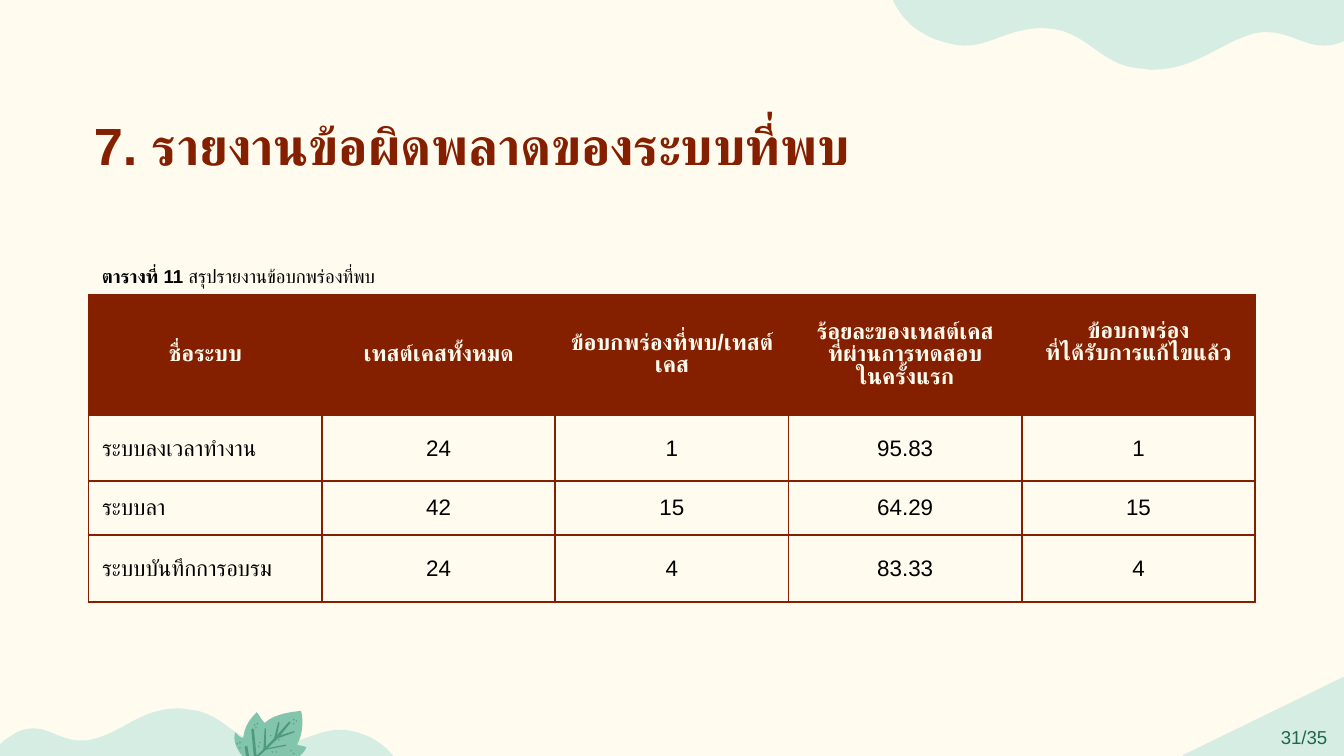
from dataclasses import dataclass

from lxml.etree import SubElement
from pptx import Presentation
from pptx.dml.color import RGBColor
from pptx.enum.shapes import MSO_SHAPE
from pptx.enum.text import MSO_ANCHOR, PP_ALIGN
from pptx.oxml.ns import qn
from pptx.util import Inches, Pt

CREAM = RGBColor(0xFF, 0xFB, 0xEE)
MINT = RGBColor(0xD6, 0xED, 0xE4)
LEAF_GREEN = RGBColor(0x83, 0xC4, 0xAD)
VEIN_GREEN = RGBColor(0x4F, 0x99, 0x7C)
DARK_GREEN = RGBColor(0x1F, 0x68, 0x4C)
BROWN = RGBColor(0x84, 0x1F, 0x00)
BLACK = RGBColor(0, 0, 0)
FONT = "Arial"
CURVE_STEPS = 12


@dataclass
class Outline:
    """A closed outline; segments hold 2 numbers (line) or 6 (Bézier curve)."""
    color: RGBColor
    start: tuple[float, float]
    segments: list[tuple[float, ...]]


@dataclass
class TextStyle:
    size: int
    color: RGBColor
    bold: bool = False


TOP_WAVE = Outline(MINT, (8.57, 0.52), [
    (8.9, 0.52, 9.07, 0.32, 9.33, 0.25), (9.37, 0.24, 9.4, 0.24, 9.43, 0.24),
    (9.59, 0.24, 9.7, 0.34, 9.85, 0.34), (9.9, 0.34, 9.96, 0.33, 10.03, 0.29),
    (10.2, 0.2, 10.21, 0.08, 10.21, -0.04), (6.63, -0.03),
    (6.68, 0.09, 6.76, 0.21, 6.95, 0.29), (7.04, 0.32, 7.11, 0.34, 7.18, 0.34),
    (7.37, 0.34, 7.49, 0.22, 7.73, 0.21), (7.74, 0.21, 7.75, 0.21, 7.76, 0.21),
    (8.08, 0.21, 8.17, 0.48, 8.47, 0.51), (8.51, 0.51, 8.54, 0.52, 8.57, 0.52)])
BOTTOM_WAVE = Outline(MINT, (-0.07, 5.75), [
    (2.99, 5.74), (2.95, 5.64, 2.88, 5.54, 2.72, 5.47),
    (2.64, 5.44, 2.58, 5.43, 2.53, 5.43), (2.36, 5.43, 2.26, 5.53, 2.05, 5.54),
    (2.05, 5.54, 2.04, 5.54, 2.03, 5.54), (1.75, 5.54, 1.68, 5.31, 1.42, 5.28),
    (1.39, 5.28, 1.36, 5.27, 1.33, 5.27), (1.05, 5.27, 0.91, 5.45, 0.69, 5.5),
    (0.66, 5.51, 0.63, 5.51, 0.6, 5.51), (0.46, 5.51, 0.37, 5.42, 0.25, 5.42),
    (0.2, 5.42, 0.15, 5.43, 0.09, 5.47), (-0.05, 5.55, -0.07, 5.65, -0.07, 5.75)])
LEAF = Outline(LEAF_GREEN, (2.24, 5.29), [
    (2.14, 5.3, 2.03, 5.32, 1.97, 5.38), (1.94, 5.35, 1.93, 5.32, 1.91, 5.3),
    (1.85, 5.36, 1.82, 5.41, 1.81, 5.49), (1.79, 5.49, 1.78, 5.48, 1.75, 5.45),
    (1.73, 5.51, 1.76, 5.61, 1.87, 5.68), (1.9, 5.72, 1.98, 5.75, 2.04, 5.75),
    (2.07, 5.75, 2.1, 5.75, 2.12, 5.74), (2.1, 5.72, 2.07, 5.7, 2.05, 5.69),
    (2.15, 5.67, 2.25, 5.64, 2.28, 5.56), (2.26, 5.55, 2.23, 5.55, 2.21, 5.54),
    (2.25, 5.47, 2.26, 5.37, 2.24, 5.29)])
VEINS = [Outline(VEIN_GREEN, start, segments) for start, *segments in (
    ((2.16, 5.37), (2.15, 5.37), (2.05, 5.48, 1.95, 5.61, 1.81, 5.69), (1.68, 5.74),
     (1.68, 5.75), (1.85, 5.72, 1.97, 5.59, 2.08, 5.48), (2.16, 5.38)),
    ((2.07, 5.37), (2.04, 5.49), (2.05, 5.5), (2.19, 5.45), (2.19, 5.44), (2.06, 5.48),
     (2.08, 5.38)),
    ((1.97, 5.42), (1.96, 5.58), (1.97, 5.58), (2.13, 5.55), (2.13, 5.54), (1.98, 5.57),
     (1.98, 5.42)),
    ((1.88, 5.42), (1.87, 5.43), (1.89, 5.64), (1.9, 5.65), (2, 5.64), (2.13, 5.65),
     (2.13, 5.63), (1.91, 5.63), (1.89, 5.43)),
    ((1.83, 5.55), (1.82, 5.56), (1.84, 5.68), (1.85, 5.69), (2, 5.71), (2.01, 5.7),
     (1.86, 5.67), (1.84, 5.55)))]
SPECKLES = [
    (2.16, 5.58), (2.18, 5.6), (1.89, 5.39), (1.91, 5.38), (1.9, 5.41), (2.18, 5.35),
    (2.18, 5.38), (2.2, 5.36), (1.93, 5.52), (1.92, 5.55), (2.02, 5.59), (2.05, 5.59),
    (2.07, 5.5), (2.01, 5.47), (1.76, 5.53), (1.78, 5.52), (1.78, 5.56)]

ROWS = [
    ("ชื่อระบบ", "เทสต์เคสทั้งหมด", "ข้อบกพร่องที่พบ/เทสต์เคส",
     "ร้อยละของเทสต์เคส\nที่ผ่านการทดสอบ\nในครั้งแรก", "ข้อบกพร่อง\nที่ได้รับการแก้ไขแล้ว"),
    ("ระบบลงเวลาทำงาน", "24", "1", "95.83", "1"),
    ("ระบบลา", "42", "15", "64.29", "15"),
    ("ระบบบันทึกการอบรม", "24", "4", "83.33", "4")]
ROW_HEIGHTS = [0.9, 0.49, 0.4, 0.5]


def paint(shape, color: RGBColor) -> None:
    shape.shadow.inherit = False
    shape.fill.solid()
    shape.fill.fore_color.rgb = color
    shape.line.fill.background()


def draw_outline(shapes, outline: Outline) -> None:
    points = [outline.start]
    for segment in outline.segments:
        if len(segment) == 2:
            points.append(segment)
            continue
        x0, y0 = points[-1]
        x1, y1, x2, y2, x3, y3 = segment
        for step in range(1, CURVE_STEPS + 1):
            t = step / CURVE_STEPS
            a, b, c, d = (1 - t) ** 3, 3 * t * (1 - t) ** 2, 3 * t * t * (1 - t), t ** 3
            points.append((a * x0 + b * x1 + c * x2 + d * x3,
                           a * y0 + b * y1 + c * y2 + d * y3))
    corners = [(Inches(x), Inches(y)) for x, y in points]
    builder = shapes.build_freeform(*corners[0])
    builder.add_line_segments(corners[1:], close=True)
    paint(builder.convert_to_shape(), outline.color)


def style_run(run, style: TextStyle) -> None:
    run.font.name = FONT
    run.font.size = Pt(style.size)
    run.font.bold = style.bold
    run.font.color.rgb = style.color
    # Thai letters take the complex-script font
    SubElement(run.font._element, qn("a:cs"), typeface=FONT)


def style_text(text_frame, style: TextStyle, align: PP_ALIGN = PP_ALIGN.LEFT) -> None:
    for paragraph in text_frame.paragraphs:
        paragraph.alignment = align
        for run in paragraph.runs:
            style_run(run, style)


def add_text(shapes, left: float, top: float, width: float, height: float, text: str):
    box = shapes.add_textbox(Inches(left), Inches(top), Inches(width), Inches(height))
    box.text_frame.word_wrap = True
    box.text_frame.text = text
    return box.text_frame


def style_cell(cell, header: bool, align: PP_ALIGN) -> None:
    cell.vertical_anchor = MSO_ANCHOR.MIDDLE
    style_text(cell.text_frame, TextStyle(12, CREAM if header else BLACK, header), align)
    if header:
        cell.fill.solid()
        cell.fill.fore_color.rgb = BROWN
        for paragraph in cell.text_frame.paragraphs:
            paragraph.line_spacing = 0.9
    else:
        cell.fill.background()
    properties = cell._tc.get_or_add_tcPr()
    for position, side in enumerate(("a:lnL", "a:lnR", "a:lnT", "a:lnB")):
        border = SubElement(properties, qn(side), w=str(Pt(1)))
        properties.insert(position, border)
        SubElement(SubElement(border, qn("a:solidFill")), qn("a:srgbClr"), val=str(BROWN))


def draw_table(shapes) -> None:
    table = shapes.add_table(len(ROWS), len(ROWS[0]), Inches(0.66), Inches(2.19),
                             Inches(8.68), Inches(sum(ROW_HEIGHTS))).table
    for r, (texts, height) in enumerate(zip(ROWS, ROW_HEIGHTS)):
        table.rows[r].height = Inches(height)
        for c, text in enumerate(texts):
            cell = table.cell(r, c)
            cell.text_frame.text = text
            style_cell(cell, r == 0, PP_ALIGN.LEFT if r and not c else PP_ALIGN.CENTER)
    # The last heading sits a little higher than the others
    table.cell(0, len(ROWS[0]) - 1).margin_bottom = Inches(0.23)


def main() -> None:
    deck = Presentation()
    deck.slide_width = Inches(10)
    deck.slide_height = deck.slide_width * 9 // 16
    slide = deck.slides.add_slide(deck.slide_layouts[6])
    slide.background.fill.solid()
    slide.background.fill.fore_color.rgb = CREAM
    shapes = slide.shapes

    # Waves and leaf
    for outline in (TOP_WAVE, BOTTOM_WAVE, LEAF, *VEINS):
        draw_outline(shapes, outline)
    for x, y in SPECKLES:
        paint(shapes.add_shape(MSO_SHAPE.OVAL, Inches(x), Inches(y),
                               Inches(0.01), Inches(0.01)), VEIN_GREEN)

    # Title, table and caption
    title = add_text(shapes, 0.6, 0.79, 7.54, 0.57, "7. รายงานข้อผิดพลาดของระบบที่พบ")
    style_text(title, TextStyle(28, BROWN, True))
    draw_table(shapes)
    caption = add_text(shapes, 0.66, 1.92, 7.41, 0.27, "ตารางที่ 11")
    style_text(caption, TextStyle(10, BLACK, True))
    description = caption.paragraphs[0].add_run()
    description.text = " สรุปรายงานข้อบกพร่องที่พบ"
    style_run(description, TextStyle(10, BLACK))

    # Page number corner
    corner = shapes.add_shape(MSO_SHAPE.ISOSCELES_TRIANGLE, Inches(8.81), Inches(5.05),
                              Inches(1.19), Inches(0.58))
    corner.adjustments[0] = 1
    paint(corner, MINT)
    corner.line.color.rgb = MINT
    corner.line.width = Pt(2)
    corner.text_frame.text = "31/35"
    corner.text_frame.vertical_anchor = MSO_ANCHOR.MIDDLE
    style_text(corner.text_frame, TextStyle(10, DARK_GREEN), PP_ALIGN.CENTER)
    deck.save("out.pptx")


if __name__ == "__main__":
    main()
